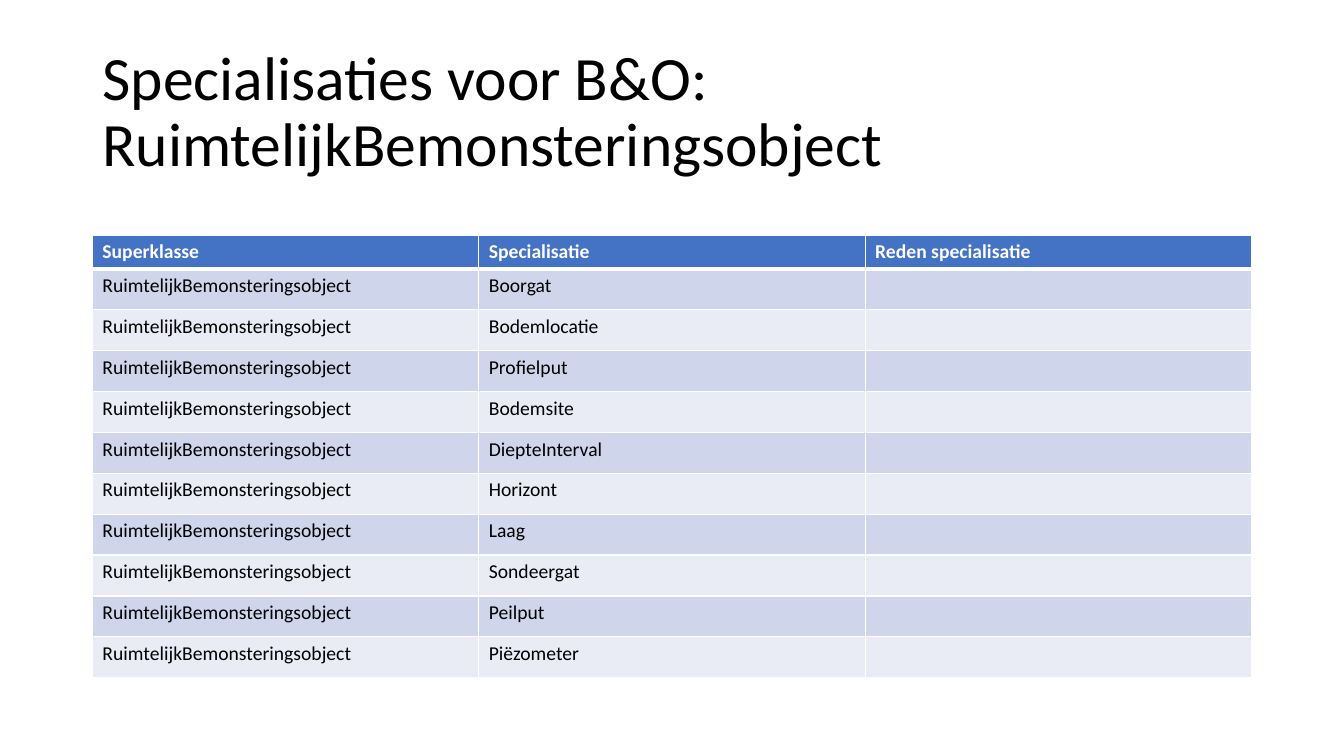
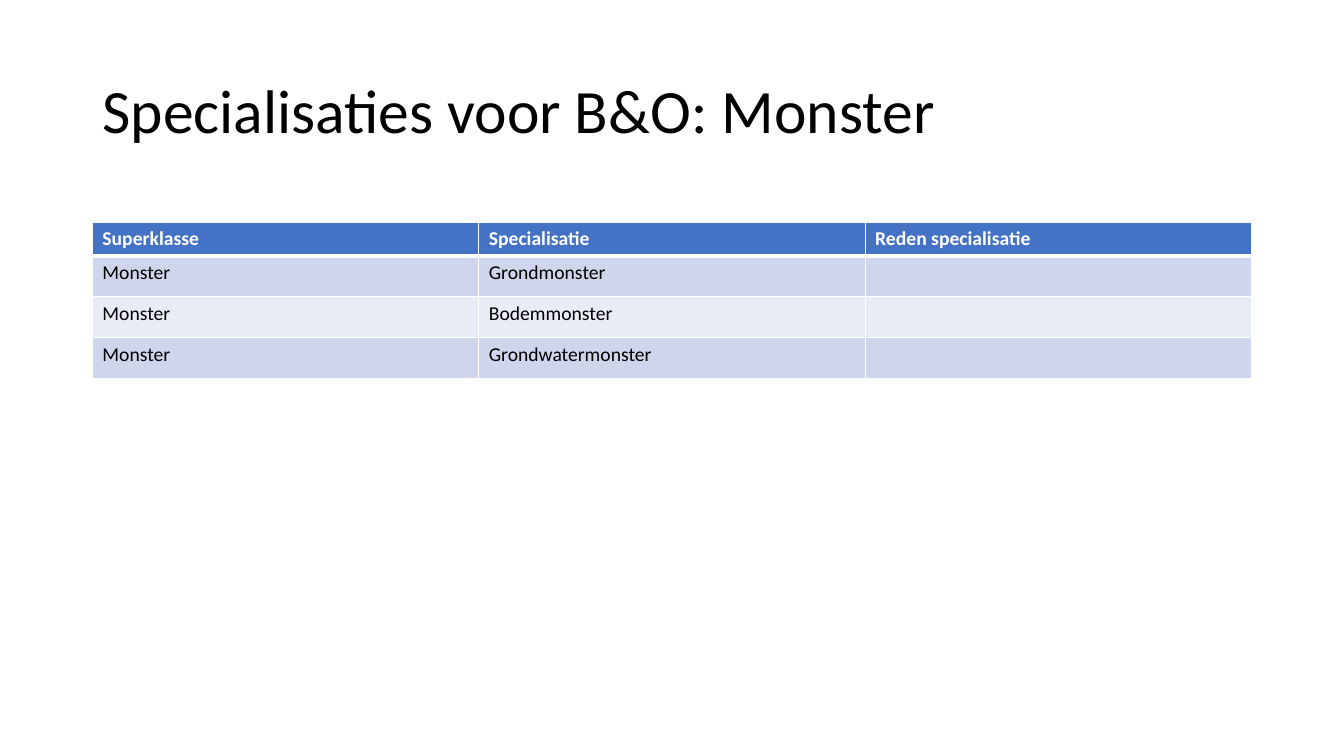
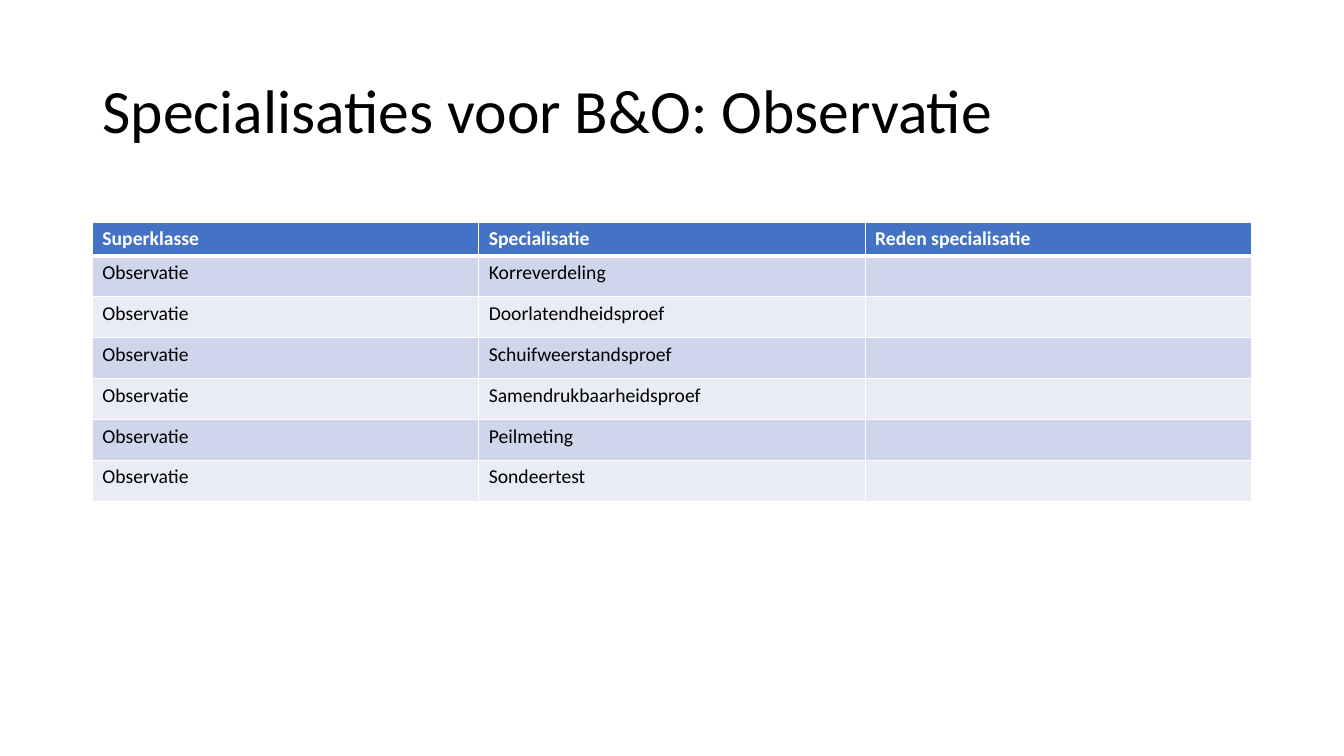
from lxml.etree import SubElement
from pptx import Presentation
from pptx.dml.color import RGBColor
from pptx.enum.text import MSO_ANCHOR as Anchor, MSO_AUTO_SIZE as AutoSize, PP_ALIGN as Align
from pptx.oxml.ns import qn
from pptx.util import Pt

BLACK = RGBColor(0x00, 0x00, 0x00)
WHITE = RGBColor(0xFF, 0xFF, 0xFF)
BLUE = RGBColor(0x44, 0x72, 0xC4)
DARK_BAND = RGBColor(0xCF, 0xD5, 0xEA)
LIGHT_BAND = RGBColor(0xE9, 0xEB, 0xF5)

FONT = "Calibri"
LEFT, WIDTH = 66, 828
TITLE_TOP, TITLE_HEIGHT = 28.75, 104.38
HEADER_HEIGHT, ROW_HEIGHT = 23.8, 29.2
HEADINGS = ("Superklasse", "Specialisatie", "Reden specialisatie")

PAGES = (
    ("RuimtelijkBemonsteringsobject", 167.8,
     ("Boorgat", "Bodemlocatie", "Profielput", "Bodemsite", "DiepteInterval",
      "Horizont", "Laag", "Sondeergat", "Peilput", "Piëzometer")),
    ("Monster", 158.5, ("Grondmonster", "Bodemmonster", "Grondwatermonster")),
    ("Observatie", 158.5,
     ("Korreverdeling", "Doorlatendheidsproef", "Schuifweerstandsproef",
      "Samendrukbaarheidsproef", "Peilmeting", "Sondeertest")),
)


class SpecialisationDeck:
    """Holds the deck style and the current page."""

    def __init__(self):
        self.deck = Presentation()
        self.deck.slide_width, self.deck.slide_height = Pt(960), Pt(540)
        self.page = None

    def add_page(self, title):
        self.page = self.deck.slides.add_slide(self.deck.slide_layouts[5])
        box = self.page.shapes.title
        box.left, box.top = Pt(LEFT), Pt(TITLE_TOP)
        box.width, box.height = Pt(WIDTH), Pt(TITLE_HEIGHT)
        frame = box.text_frame
        frame.word_wrap = True
        frame.auto_size = AutoSize.NONE
        frame.vertical_anchor = Anchor.MIDDLE
        para = frame.paragraphs[0]
        para.alignment = Align.LEFT
        para.line_spacing = 0.9
        self.add_span(para, title, 44, BLACK)

    def add_span(self, para, text, size, colour, bold=False):
        span = para.add_run()
        span.text = text
        span.font.name = FONT
        span.font.size = Pt(size)
        span.font.bold = bold
        span.font.color.rgb = colour

    def add_borders(self, cell, top, bottom):
        properties = cell._tc.get_or_add_tcPr()
        for side, width in (("L", 1), ("R", 1), ("T", top), ("B", bottom)):
            line = SubElement(properties, qn(f"a:ln{side}"), w=str(Pt(width)))
            fill = SubElement(line, qn("a:solidFill"))
            SubElement(fill, qn("a:srgbClr"), val=str(WHITE))

    def fill_cell(self, cell, text, row):
        header = row == 0
        self.add_borders(cell, 3 if row == 1 else 1, 3 if header else 1)
        cell.fill.solid()
        cell.fill.fore_color.rgb = BLUE if header else DARK_BAND if row % 2 else LIGHT_BAND
        if text:
            colour = WHITE if header else BLACK
            self.add_span(cell.text_frame.paragraphs[0], text, 14, colour, header)

    def add_table(self, top, rows):
        height = HEADER_HEIGHT + ROW_HEIGHT * (len(rows) - 1)
        table = self.page.shapes.add_table(
            len(rows), len(HEADINGS), Pt(LEFT), Pt(top), Pt(WIDTH), Pt(height)).table
        for row, texts in enumerate(rows):
            table.rows[row].height = Pt(ROW_HEIGHT if row else HEADER_HEIGHT)
            for column, text in enumerate(texts):
                self.fill_cell(table.cell(row, column), text, row)


def main():
    builder = SpecialisationDeck()
    for superclass, top, specialisations in PAGES:
        builder.add_page(f"Specialisaties voor B&O: {superclass}")
        builder.add_table(top, [HEADINGS] + [(superclass, name, "") for name in specialisations])
    builder.deck.save("out.pptx")


if __name__ == "__main__":
    main()
